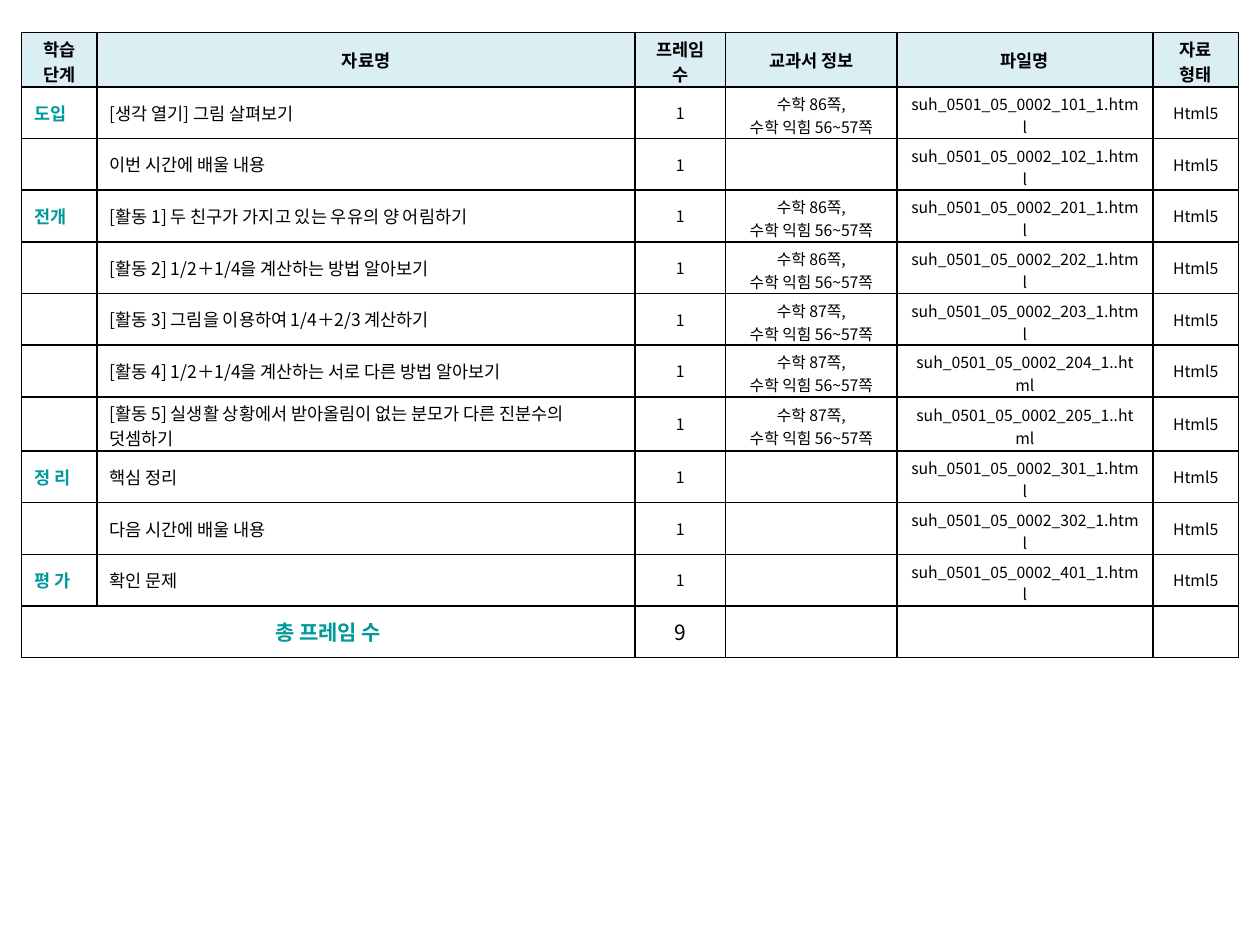
from lxml import etree
from pptx import Presentation
from pptx.dml.color import RGBColor
from pptx.enum.text import MSO_ANCHOR, PP_ALIGN
from pptx.oxml.ns import qn
from pptx.util import Inches, Pt

LEFT, CENTER, JUSTIFY = PP_ALIGN.LEFT, PP_ALIGN.CENTER, PP_ALIGN.JUSTIFY
MIDDLE = MSO_ANCHOR.MIDDLE
BLACK = RGBColor(0x00, 0x00, 0x00)
TEAL = RGBColor(0x00, 0x99, 0x99)
PALE_BLUE = RGBColor(0xDB, 0xEE, 0xF4)
FONT = "Noto Sans CJK KR"

# Content
HEADERS = ["학습 단계", "자료명", "프레임 수", "교과서 정보", "파일명", "자료\n형태"]
LESSONS = [  # stage, material, textbook page, file number
    ("도입", "[생각 열기] 그림 살펴보기", 86, "101_1."),
    ("", "이번 시간에 배울 내용", None, "102_1."),
    ("전개", "[활동 1] 두 친구가 가지고 있는 우유의 양 어림하기", 86, "201_1."),
    ("", "[활동 2] 1/2＋1/4을 계산하는 방법 알아보기", 86, "202_1."),
    ("", "[활동 3] 그림을 이용하여 1/4＋2/3 계산하기", 87, "203_1."),
    ("", "[활동 4] 1/2＋1/4을 계산하는 서로 다른 방법 알아보기", 87, "204_1.."),
    ("", "[활동 5] 실생활 상황에서 받아올림이 없는 분모가 다른 진분수의 덧셈하기",
     87, "205_1.."),
    ("정 리", "핵심 정리", None, "301_1."),
    ("", "다음 시간에 배울 내용", None, "302_1."),
    ("평 가", "확인 문제", None, "401_1."),
]
TOTAL = ["총 프레임 수", "", "9", "", "", ""]

# Column styles: alignment, size, colour, bold
HEADER_STYLE = (CENTER, 10, BLACK, True)
STAGE_STYLE = (JUSTIFY, 10, TEAL, True)
MATERIAL_STYLE = (LEFT, 10, BLACK, False)
DETAIL_STYLE = (CENTER, 9, BLACK, False)
LESSON_STYLES = [STAGE_STYLE, MATERIAL_STYLE] + [DETAIL_STYLE] * 4
TOTAL_STYLES = [(CENTER, 12, TEAL, True)] + [(CENTER, 12, BLACK, False)] * 5

COL_WIDTHS = [0.6, 4.27, 0.72, 1.36, 2.03, 0.68]
TALL_ROW, ROW = 0.43, 0.41
TALL_ROWS = (0, 7)  # rows holding two lines of 10 point text
TWO_LINE_TOP = {9: 0.04, 10: 0.03}  # top margin by text size
TWO_LINE_TEXTS = ("학습 단계", "프레임 수", LESSONS[6][1])


def lesson_cells(stage, material, page, number):
    book = f"수학 {page}쪽,\n수학 익힘 56~57쪽" if page else ""
    return [stage, material, "1", book, f"suh_0501_05_0002_{number}html", "Html5"]


def set_borders(cell):
    tcPr = cell._tc.get_or_add_tcPr()
    for i, side in enumerate(("lnL", "lnR", "lnT", "lnB")):
        ln = etree.Element(qn(f"a:{side}"), w=str(Pt(1)))
        fill = etree.SubElement(ln, qn("a:solidFill"))
        etree.SubElement(fill, qn("a:srgbClr"), val=str(BLACK))
        tcPr.insert(i, ln)


def fill_cell(cell, text, style, fill):
    align, size, color, bold = style
    cell.vertical_anchor = MIDDLE
    if "\n" in text or text.endswith("html") or text in TWO_LINE_TEXTS:
        cell.margin_top, cell.margin_bottom = Inches(TWO_LINE_TOP[size]), 0
    if fill is None:
        cell.fill.background()
    else:
        cell.fill.solid()
        cell.fill.fore_color.rgb = fill
    set_borders(cell)
    cell.text_frame.text = text
    for p in cell.text_frame.paragraphs:
        p.alignment = align
        p.font.name, p.font.size, p.font.bold = FONT, Pt(size), bold
        p.font.color.rgb = color
        if not text:  # keeps empty cells from stretching their row
            p._p.get_or_add_endParaRPr().set("sz", str(size * 100))


prs = Presentation()
prs.slide_width, prs.slide_height = Inches(10), Inches(7.5)
s = prs.slides.add_slide(prs.slide_layouts[6])

# Every row with its column styles and fill
rows = [(HEADERS, [HEADER_STYLE] * 6, PALE_BLUE)]
rows += [(lesson_cells(*lesson), LESSON_STYLES, None) for lesson in LESSONS]
rows.append((TOTAL, TOTAL_STYLES, None))
heights = [TALL_ROW if r in TALL_ROWS else ROW for r in range(len(rows))]

# Lesson table
table = s.shapes.add_table(len(rows), len(COL_WIDTHS), Inches(0.17), Inches(0.26),
                           Inches(sum(COL_WIDTHS)), Inches(sum(heights))).table
table.first_row = table.horz_banding = False
for column, width in zip(table.columns, COL_WIDTHS):
    column.width = Inches(width)
for r, (texts, styles, fill) in enumerate(rows):
    table.rows[r].height = Inches(heights[r])
    for c, (text, style) in enumerate(zip(texts, styles)):
        fill_cell(table.cell(r, c), text, style, fill)

# Total label spans the stage and material columns
last = len(rows) - 1
table.cell(last, 0).merge(table.cell(last, 1))

prs.save("out.pptx")
